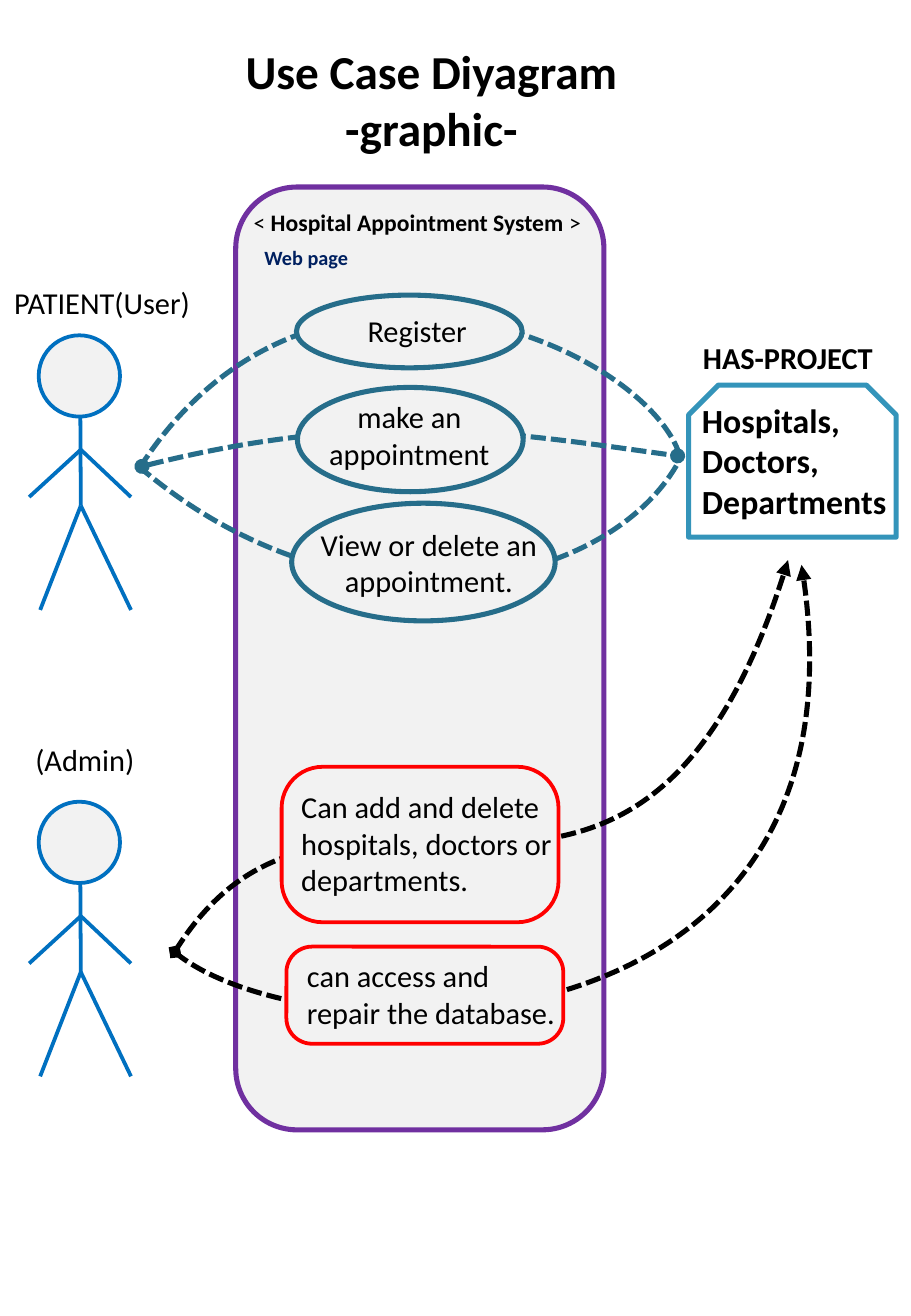
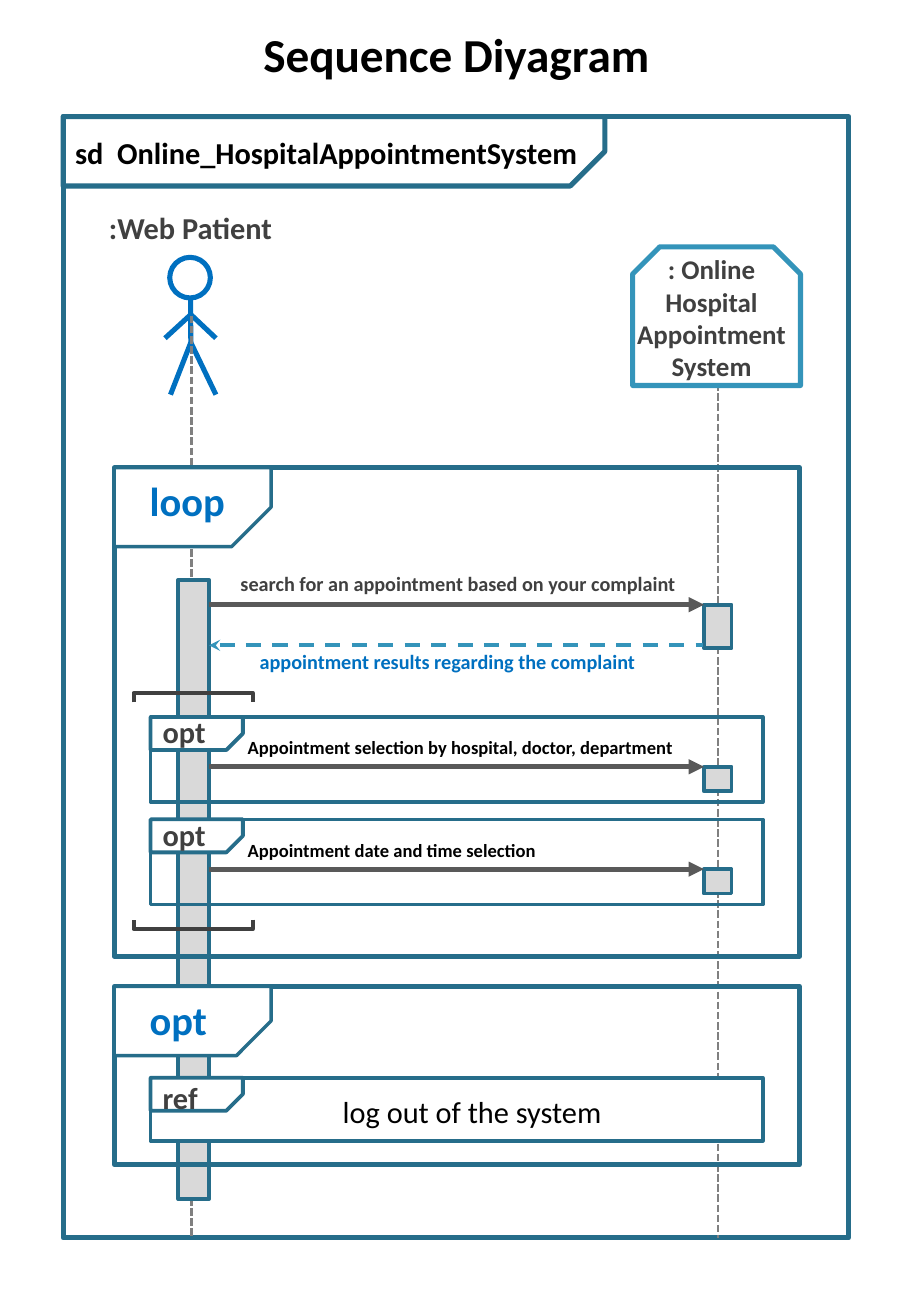
from dataclasses import dataclass

from lxml import etree
from pptx import Presentation
from pptx import util as u
from pptx.dml.color import RGBColor
from pptx.enum import dml, shapes, text
from pptx.oxml.ns import qn

KIND = shapes.MSO_SHAPE
ALIGN = text.PP_ALIGN
DASHES = dml.MSO_LINE


@dataclass(frozen=True)
class Theme:
    font: str = "Calibri"
    black: str = "000000"
    dark: str = "404040"
    arrow: str = "595959"
    lifeline: str = "808080"
    bar: str = "D9D9D9"
    pale: str = "F2F2F2"
    white: str = "FFFFFF"
    purple: str = "7030A0"
    red: str = "FF0000"
    navy: str = "002060"
    blue: str = "0070C0"
    sky: str = "3494BA"
    teal: str = "266D8A"
    title: int = 28
    heading: int = 24
    large: int = 20
    body: int = 18
    medium: int = 16
    caption: int = 14
    note: int = 12
    small: int = 11
    thick: float = 3
    normal: float = 2.25
    thin: float = 1.5


THEME = Theme()


# Shared helpers: boxes are (left, top, width, height) in centimetres
def inside(box, left, top, width, height):
    return box[0] + left, box[1] + top, width, height


def style_line(line, color, width, dash=None, head=None, tail=None):
    line.color.rgb = RGBColor.from_string(color)
    line.width = u.Pt(width)
    if dash:
        line.dash_style = dash
    for tag, end in (("a:headEnd", head), ("a:tailEnd", tail)):
        if end:
            etree.SubElement(line._get_or_add_ln(), qn(tag), type=end)


def add_shape(slide, kind, box, color, width=THEME.thick, fill=None,
              adjust=(), flip=False, rotation=0):
    shape = slide.shapes.add_shape(kind, *map(u.Cm, box))
    shape.shadow.inherit = False
    if fill:
        shape.fill.solid()
        shape.fill.fore_color.rgb = RGBColor.from_string(fill)
    else:
        shape.fill.background()
    style_line(shape.line, color, width)
    for index, value in enumerate(adjust):
        shape.adjustments[index] = value
    if flip:
        shape._element.spPr.find(qn("a:xfrm")).set("flipV", "1")
    shape.rotation = rotation
    return shape


def add_line(slide, start, end, color, width=THEME.thick, **ends):
    connector = slide.shapes.add_connector(
        shapes.MSO_CONNECTOR.STRAIGHT, *map(u.Cm, (*start, *end)))
    style_line(connector.line, color, width, **ends)
    etree.SubElement(connector._element.spPr, qn("a:effectLst"))


def add_text(slide, box, content, size=THEME.body, color=THEME.black,
             bold=False, align=ALIGN.LEFT):
    """Content is a string, or a list of (words, bold) runs in one line."""
    frame = slide.shapes.add_textbox(*map(u.Cm, box)).text_frame
    frame.word_wrap = True
    frame.auto_size = text.MSO_AUTO_SIZE.SHAPE_TO_FIT_TEXT
    if isinstance(content, str):
        lines = [[(line, bold)] for line in content.split("\n")]
    else:
        lines = [content]
    for index, runs in enumerate(lines):
        paragraph = frame.add_paragraph() if index else frame.paragraphs[0]
        paragraph.alignment = align
        for words, heavy in runs:
            run = paragraph.add_run()
            run.text = words
            run.font.name = THEME.font
            run.font.size = u.Pt(size)
            run.font.bold = heavy
            run.font.color.rgb = RGBColor.from_string(color)


def add_title(slide, box, content):
    add_text(slide, box, content, size=THEME.title, bold=True,
             align=ALIGN.CENTER)


def add_curve(slide, box, points, color, head=None, tail=None):
    """Dashed cubic curve through control points relative to the box."""
    control = [(u.Cm(box[0] + x), u.Cm(box[1] + y)) for x, y in points]

    # Sampled points give the frame its true bounds
    def at(t):
        weights = ((1 - t) ** 3, 3 * t * (1 - t) ** 2,
                   3 * t ** 2 * (1 - t), t ** 3)
        return tuple(round(sum(w * point[axis]
                               for w, point in zip(weights, control)))
                     for axis in (0, 1))

    builder = slide.shapes.build_freeform(*control[0])
    builder.add_line_segments([at(i / 50) for i in range(1, 51)], close=False)
    shape = builder.convert_to_shape()

    # One Bézier segment takes the place of the sampled lines
    outline = shape._element.find(".//" + qn("a:path"))
    for segment in outline.findall(qn("a:lnTo")):
        outline.remove(segment)
    bezier = etree.SubElement(outline, qn("a:cubicBezTo"))
    for x, y in control[1:]:
        etree.SubElement(bezier, qn("a:pt"), x=str(int(x - shape.left)),
                         y=str(int(y - shape.top)))
    shape.shadow.inherit = False
    shape.fill.background()
    style_line(shape.line, color, THEME.thick, DASHES.SQUARE_DOT, head, tail)


# Parts used on both slides
def draw_actor(slide, left, top, scale=1, width=THEME.normal, fill=None):
    def place(x, y):
        return left + x * scale, top + y * scale

    add_shape(slide, KIND.OVAL, (*place(0.2, 0), 1.7 * scale, 1.7 * scale),
              THEME.blue, width, fill)
    neck, shoulder, hip = (1.07, 1.7), (1.08, 2.39), (1.08, 3.56)
    limbs = [(neck, hip), (hip, (0.23, 5.74)), (hip, (2.13, 5.74)),
             (shoulder, (2.13, 3.38)), (shoulder, (0, 3.38))]
    for start, end in limbs:
        add_line(slide, place(*start), place(*end), THEME.blue, width)


def draw_system_box(slide, box, label_box, label, **style):
    add_shape(slide, KIND.SNIP_2_SAME_RECTANGLE, box, THEME.sky,
              fill=THEME.white, adjust=(0.196, 0))
    add_text(slide, inside(box, *label_box), label, bold=True, **style)


# Use case regions
def draw_system_panel(slide, box):
    add_shape(slide, KIND.ROUNDED_RECTANGLE, box, THEME.purple,
              fill=THEME.pale)
    add_text(slide, inside(box, -0.79, 0.31, 9.17, 0.86),
             [("< ", False), ("Hospital Appointment System ", True),
              (">", False)], size=THEME.caption, align=ALIGN.CENTER)
    add_text(slide, inside(box, 0.35, 1.09, 2.41, 0.76), "Web page",
             size=THEME.note, color=THEME.navy, bold=True)


def draw_patient_cases(slide, box):
    cases = [
        ("Register", (3.3, 0, 4.72, 1.52), (3.35, 0.23, 4.95, 1.02),
         [(0.02, 3.61), (3.65, -2.03), (10.61, 1.09), (11.32, 3.36)], None),
        ("make an appointment", (3.32, 1.93, 4.72, 2.18),
         (2.61, 2.03, 6.1, 1.8),
         [(0.07, 3.58), (4.9, 2.34), (8, 2.92), (11.27, 3.36)], "oval"),
        ("View or delete an appointment.", (3.2, 4.35, 5.51, 2.46),
         (3.3, 4.7, 5.54, 1.8),
         [(0, 3.58), (4.52, 7.44), (10.05, 6.07), (11.37, 3.33)], None),
    ]
    for label, oval, label_box, curve, end in cases:
        add_curve(slide, box, curve, THEME.teal, head=end, tail=end)
        add_shape(slide, KIND.OVAL, inside(box, *oval), THEME.teal,
                  fill=THEME.pale)
        add_text(slide, inside(box, *label_box), label, align=ALIGN.CENTER)


def draw_admin_cases(slide, box):
    cases = [
        ("Can add and delete hospitals, doctors or departments.",
         (2.23, 4.32, 5.79, 3.25), (2.39, 4.65, 7.11, 2.57),
         [(12.82, 0), (9.65, 10.44), (3.43, 2.64), (0, 8.18)]),
        ("can access and repair the database.",
         (2.33, 8.08, 5.79, 2.03), (2.51, 8.18, 5.79, 1.8),
         [(13.1, 0.1), (14.83, 10.62), (2.69, 10.44), (0, 8.2)]),
    ]
    for label, card, label_box, curve in cases:
        add_curve(slide, box, curve, THEME.black, "triangle", "diamond")
        add_shape(slide, KIND.ROUNDED_RECTANGLE, inside(box, *card),
                  THEME.red, THEME.normal, THEME.pale, adjust=(0.264,))
        add_text(slide, inside(box, *label_box), label)


def build_use_case_slide(slide):
    draw_system_panel(slide, (4.93, 3.91, 7.7, 19.71))
    for label, top, label_left, label_top in (
            ("PATIENT(User)", 7.01, -0.05, 5.82),
            ("(Admin)", 16.76, -0.41, 15.37)):
        draw_actor(slide, 0.61, top, fill=THEME.pale)
        add_text(slide, (label_left, label_top, 4.37, 1.02), label,
                 align=ALIGN.CENTER)
    draw_system_box(slide, (14.4, 8.05, 4.34, 3.18), (0.03, 0.18, 4.65, 2.82),
                    "Hospitals, Doctors, Departments", size=THEME.large)
    add_text(slide, (14.45, 6.96, 4.34, 1.02), "HAS-PROJECT", bold=True)
    draw_patient_cases(slide, (2.9, 6.17, 11.37, 6.81))
    draw_admin_cases(slide, (3.66, 11.71, 13.3, 10.11))
    add_title(slide, (4.7, 0.76, 8.64, 2.64), "Use Case Diyagram\n-graphic-")


# Sequence regions
def draw_fragment(slide, box, tab, label, label_box, width=THEME.thick,
                  tab_width=THEME.normal, fill=None, tab_fill=THEME.white,
                  **style):
    add_shape(slide, KIND.RECTANGLE, box, THEME.teal, width, fill)
    add_shape(slide, KIND.SNIP_1_RECTANGLE, inside(box, 0, 0, *tab),
              THEME.teal, tab_width, tab_fill, adjust=(0.5,), flip=True)
    add_text(slide, inside(box, *label_box), label, bold=True, **style)


def draw_outer_fragment(slide, box, label, tab_height):
    draw_fragment(slide, box, (3.28, tab_height), label,
                  (0.49, 0.05, 2.77, 1.27), tab_width=2,
                  size=THEME.heading, color=THEME.blue)


def draw_inner_fragment(slide, box, label, rise, fill=None):
    draw_fragment(slide, box, (1.93, 0.69), label, (0, -rise, 1.93, 1.02),
                  width=THEME.normal, fill=fill, color=THEME.dark)


def draw_activation(slide, box):
    add_shape(slide, KIND.RECTANGLE, box, THEME.teal, THEME.normal, THEME.bar)


def draw_message(slide, left, top, height):
    """Solid arrow to an activation box of the given height."""
    draw_activation(slide, (left + 10.35, top, 0.58, height))
    add_line(slide, (left, top), (left + 10.35, top), THEME.arrow,
             tail="triangle")


def draw_option(slide, box, label):
    draw_inner_fragment(slide, box, "opt", 0.2)
    draw_message(slide, box[0] + 1.22, box[1] + 1.04, 0.51)
    add_text(slide, inside(box, 1.78, 0.28, 10.49, 0.74), label,
             size=THEME.small, bold=True)


def build_sequence_slide(slide):
    add_title(slide, (4.04, 0.41, 11, 1.45), "Sequence Diyagram")
    draw_fragment(slide, (1.32, 2.44, 16.43, 23.44), (11.33, 1.45),
                  "sd  Online_HospitalAppointmentSystem",
                  (0, 0.23, 11.33, 1.02), tab_width=THEME.thick, tab_fill=None)

    # Participants and lifelines
    draw_actor(slide, 3.45, 5.38, scale=0.5, width=THEME.thick)
    for x, top in ((4.01, 6.6), (15.01, 7.16)):
        add_line(slide, (x, top), (x, 25.88), THEME.lifeline, THEME.thin,
                 dash=DASHES.SQUARE_DOT)
    add_text(slide, (1.47, 4.24, 5.03, 1.02), ":Web Patient",
             color=THEME.dark, bold=True, align=ALIGN.CENTER)
    draw_system_box(slide, (13.23, 5.16, 3.51, 2.9), (-0.61, 0, 4.52, 3),
                    ": Online\nHospital Appointment System",
                    size=THEME.medium, color=THEME.dark, align=ALIGN.CENTER)
    draw_activation(slide, (3.73, 12.12, 0.64, 12.95))

    # Search loop
    draw_outer_fragment(slide, (2.39, 9.78, 14.33, 10.21), "loop", 1.65)
    draw_message(slide, 4.37, 12.64, 0.91)
    add_line(slide, (4.37, 13.49), (14.71, 13.49), THEME.sky, THEME.normal,
             dash=DASHES.DASH, head="stealth")
    for box, label, color in (
            ((4.78, 11.81, 10.11, 0.76),
             "search for an appointment based on your complaint", THEME.dark),
            ((5.18, 13.44, 9.53, 0.76),
             "appointment results regarding the complaint", THEME.blue)):
        add_text(slide, box, label, size=THEME.note, color=color, bold=True)
    for top, rotation in ((13.34, 90), (18.08, 270)):
        add_shape(slide, KIND.LEFT_BRACKET, (3.94, top, 0.2, 2.49),
                  THEME.dark, THEME.normal, adjust=(0,), rotation=rotation)
    for index, label in enumerate((
            "Appointment selection by hospital, doctor, department",
            "Appointment date and time selection")):
        draw_option(slide, (3.15, 14.99 + index * 2.14, 12.8, 1.78), label)

    # Log out
    draw_outer_fragment(slide, (2.39, 20.62, 14.33, 3.73), "opt", 1.45)
    draw_inner_fragment(slide, (3.15, 22.53, 12.8, 1.32), "ref", 0.1,
                        THEME.white)
    add_text(slide, (5.11, 22.73, 9.53, 1.02), "log out of the system",
             align=ALIGN.CENTER)


def main():
    presentation = Presentation()
    presentation.slide_width = u.Cm(19.05)
    presentation.slide_height = u.Cm(27.51)
    for build in (build_use_case_slide, build_sequence_slide):
        build(presentation.slides.add_slide(presentation.slide_layouts[6]))
    presentation.save("out.pptx")


if __name__ == "__main__":
    main()
